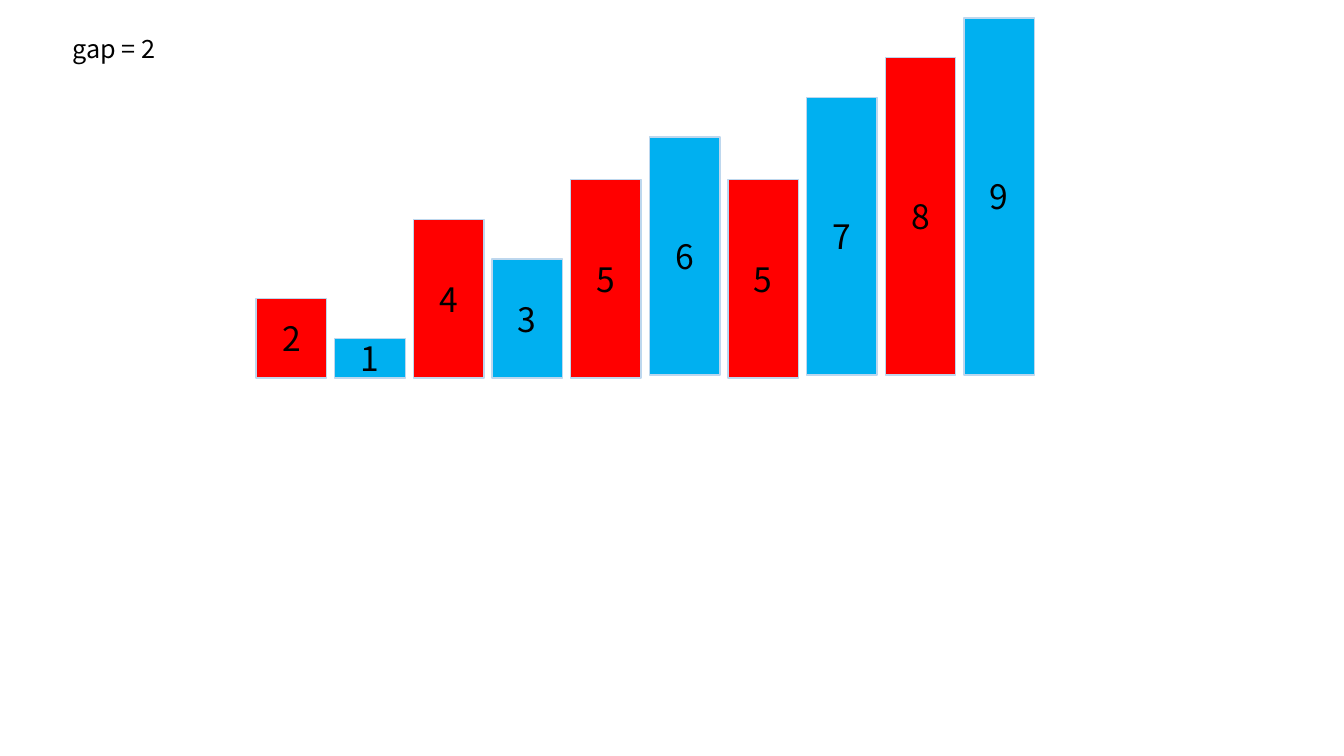
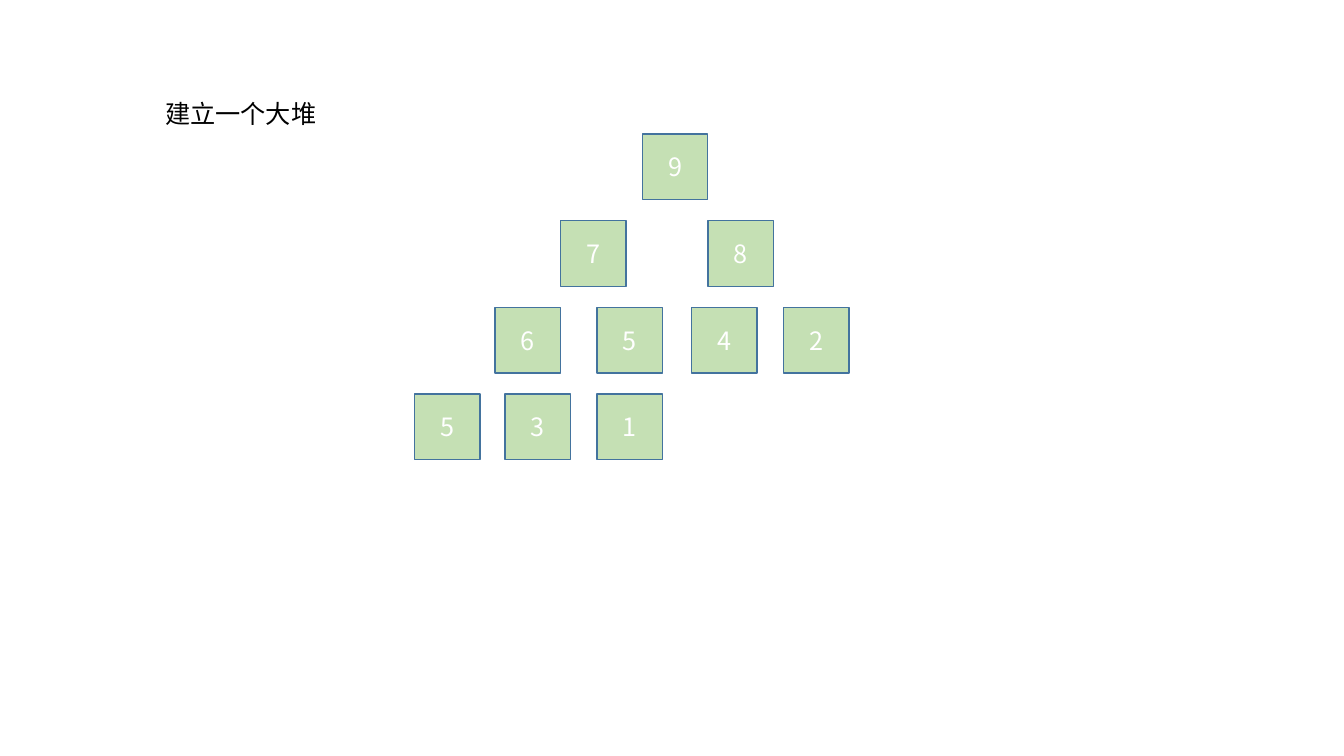
"""Build two sorting slides: a gap pass of shell sort and a max heap."""
from pptx import Presentation
from pptx.dml.color import RGBColor
from pptx.enum import shapes, text
from pptx.oxml import ns
from pptx.util import Inches, Pt
from lxml import etree

FONT = "Noto Sans CJK SC"
BLACK = RGBColor(0x00, 0x00, 0x00)
WHITE = RGBColor(0xFF, 0xFF, 0xFF)
RED = RGBColor(0xFF, 0x00, 0x00)
BLUE = RGBColor(0x00, 0xB0, 0xF0)
PALE_BLUE = RGBColor(0xBD, 0xD7, 0xEE)
GREEN = RGBColor(0xC5, 0xE0, 0xB4)
STEEL = RGBColor(0x43, 0x73, 0x9E)

GROUP_COLOURS = (RED, BLUE)
BAR_VALUES = (2, 1, 4, 3, 5, 6, 5, 7, 8, 9)
BAR_LEFT, BAR_PITCH, BAR_WIDTH = 2.54, 0.78, 0.7
BAR_UNIT = 3.54 / 9
LOW_BASE, HIGH_BASE, LAST_LOW = 3.75, 3.72, 5

HEAP_LEVELS = (
    ((6.37, 9),),
    ((5.56, 7), (7.02, 8)),
    ((4.91, 6), (5.92, 5), (6.86, 4), (7.77, 2)),
    ((4.11, 5), (5.01, 3), (5.92, 1)),
)
HEAP_TOP, LEVEL_PITCH, NODE_SIZE = 1.33, 0.86, 0.65


def write(frame, words, size, colour, align):
    """Put one formatted line into a text frame."""
    paragraph = frame.paragraphs[0]
    paragraph.alignment = align
    run = paragraph.add_run()
    run.text = words
    for attribute, value in {"name": FONT, "size": Pt(size)}.items():
        setattr(run.font, attribute, value)
    run.font.color.rgb = colour
    east_asian = etree.SubElement(run.font._element, ns.qn("a:ea"))
    east_asian.set("typeface", FONT)


def add_caption(slide, words, left, top, width, height):
    """Add the slide's short black caption."""
    caption = slide.shapes.add_textbox(*map(Inches, (left, top, width, height)))
    caption.text_frame.word_wrap = True
    write(caption.text_frame, words, 18, BLACK, text.PP_ALIGN.LEFT)


def add_number(slide, value, box, fill, outline, size, colour):
    """Add a filled rectangle with a centred number."""
    block = slide.shapes.add_shape(shapes.MSO_SHAPE.RECTANGLE, *map(Inches, box))
    block.shadow.inherit = False
    block.fill.solid()
    block.fill.fore_color.rgb = fill
    block.line.color.rgb = outline
    block.line.width = Pt(1)
    block.text_frame.vertical_anchor = text.MSO_ANCHOR.MIDDLE
    write(block.text_frame, str(value), size, colour, text.PP_ALIGN.CENTER)


def add_bars(slide):
    """Draw the values as bars coloured by their gap group."""
    for index, value in enumerate(BAR_VALUES):
        height = value * BAR_UNIT
        base = LOW_BASE if value <= LAST_LOW else HIGH_BASE
        box = (BAR_LEFT + index * BAR_PITCH, base - height, BAR_WIDTH, height)
        group = GROUP_COLOURS[index % len(GROUP_COLOURS)]
        add_number(slide, value, box, group, PALE_BLUE, 24, BLACK)


def add_heap(slide):
    """Draw the heap level by level."""
    for depth, level in enumerate(HEAP_LEVELS):
        top = HEAP_TOP + depth * LEVEL_PITCH
        for left, value in level:
            box = (left, top, NODE_SIZE, NODE_SIZE)
            add_number(slide, value, box, GREEN, STEEL, 18, WHITE)


def main():
    """Build and save the presentation."""
    deck = Presentation()
    deck.slide_width, deck.slide_height = Inches(13.33), Inches(7.5)
    blank = deck.slide_layouts[6]

    gap_slide = deck.slides.add_slide(blank)
    add_bars(gap_slide)
    add_caption(gap_slide, "gap = 2", 0.62, 0.28, 1.41, 0.71)

    heap_slide = deck.slides.add_slide(blank)
    add_heap(heap_slide)
    add_caption(heap_slide, "建立一个大堆", 1.54, 0.93, 2.4, 0.4)

    deck.save("out.pptx")


if __name__ == "__main__":
    main()
